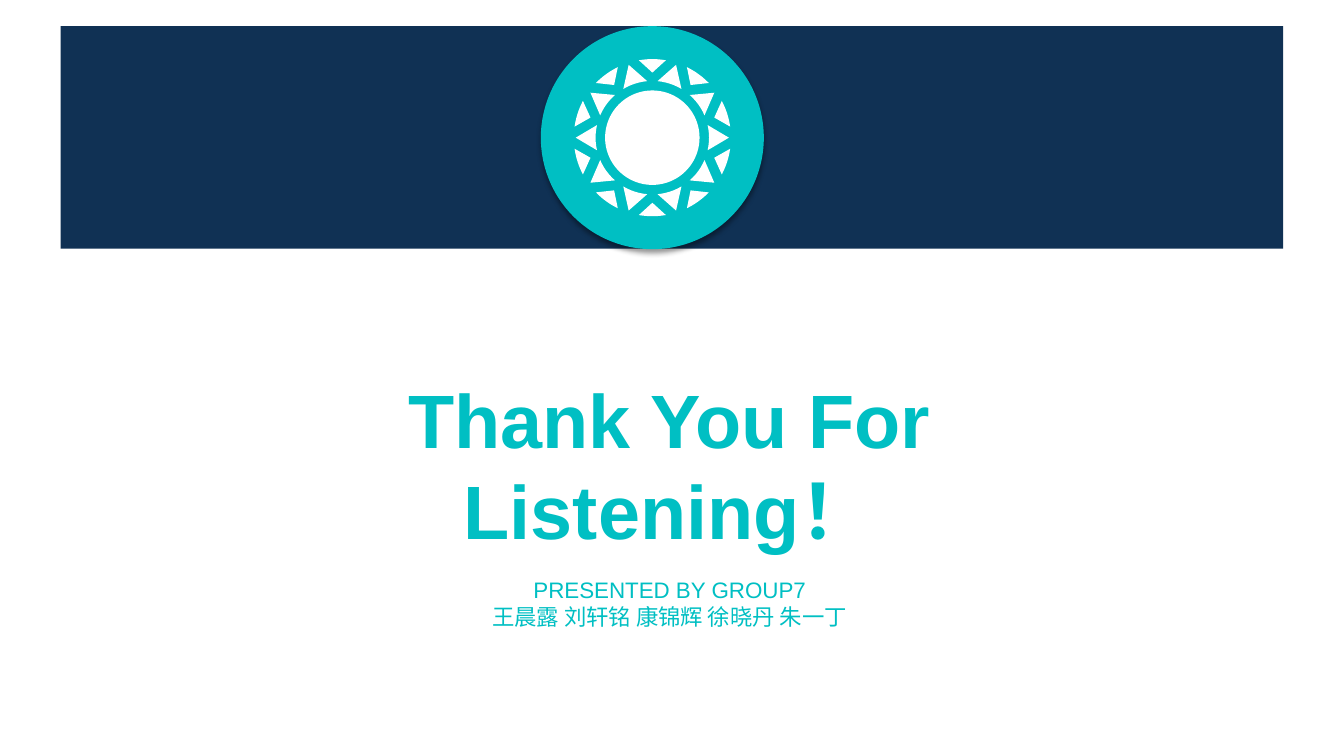
from dataclasses import dataclass
from math import cos, radians, sin

from lxml import etree
from pptx import Presentation
from pptx.dml.color import RGBColor
from pptx.enum.shapes import MSO_SHAPE
from pptx.enum.text import MSO_ANCHOR, MSO_AUTO_SIZE, PP_ALIGN
from pptx.oxml.ns import qn
from pptx.util import Cm, Pt

RECTANGLE, OVAL = MSO_SHAPE.RECTANGLE, MSO_SHAPE.OVAL
CENTER, TOP = PP_ALIGN.CENTER, MSO_ANCHOR.TOP
GROW = MSO_AUTO_SIZE.SHAPE_TO_FIT_TEXT


@dataclass(frozen=True)
class Theme:
    navy: RGBColor = RGBColor(0x10, 0x31, 0x54)
    teal: RGBColor = RGBColor(0x00, 0xBF, 0xC3)
    white: RGBColor = RGBColor(0xFF, 0xFF, 0xFF)
    font: str = "Arial"
    title_size: int = 54
    credit_size: int = 16


THEME = Theme()

# Content; all lengths in centimetres, boxes as left, top, width, height
TITLE = ["Thank You For Listening！"]
CREDITS = ["PRESENTED BY GROUP7", "王晨露 刘轩铭 康锦辉 徐晓丹 朱一丁"]

SLIDE_SIZE = (33.87, 19.05)
BANNER_BOX = (1.53, 0.66, 30.81, 5.61)
TITLE_BOX = (4.95, 9.22, 23.85, 2.64)
CREDITS_BOX = (11.94, 14.35, 9.88, 1.7)

SUN_CENTER = (16.44, 3.47)
BADGE_RADIUS = 2.81
SUN_RADIUS = 1.19
RAY_COUNT = 10
# Each ray: tip radius, arc radius, half angle of the arc in degrees
OUTWARD_RAY = (1.93, 1.43, 12.8)
INWARD_RAY = (1.64, 1.98, 9.9)
ARC_STEPS = 6


def paint(shape, color):
    shape.fill.solid()
    shape.fill.fore_color.rgb = color
    shape.line.fill.background()
    shape.shadow.inherit = False
    return shape


def add_disc(shapes, radius, color):
    x, y = SUN_CENTER
    box = (x - radius, y - radius, 2 * radius, 2 * radius)
    return paint(shapes.add_shape(OVAL, *map(Cm, box)), color)


def sun_point(radius, angle):
    x, y = SUN_CENTER
    turn = radians(angle)
    return Cm(x + radius * cos(turn)), Cm(y + radius * sin(turn))


def add_ray(shapes, angle, tip_radius, arc_radius, half_angle):
    """Draw a triangle from a tip to an arc concentric with the sun."""
    step = 2 * half_angle / ARC_STEPS
    arc = [sun_point(arc_radius, angle - half_angle + i * step)
           for i in range(ARC_STEPS + 1)]
    builder = shapes.build_freeform(*sun_point(tip_radius, angle), scale=1.0)
    builder.add_line_segments(arc, close=True)
    paint(builder.convert_to_shape(), THEME.white)


def drop_shadow(shape):
    effects = shape.element.spPr.find(qn("a:effectLst"))
    shadow = etree.SubElement(
        effects, qn("a:outerShdw"), blurRad=str(Pt(4)), dist=str(Pt(3)),
        dir=str(90 * 60000), algn="t", rotWithShape="0")
    color = etree.SubElement(shadow, qn("a:srgbClr"), val="000000")
    etree.SubElement(color, qn("a:alpha"), val="40000")


def add_text(shapes, box, lines, size, bold=False, wrap=True):
    frame = shapes.add_textbox(*map(Cm, box)).text_frame
    frame.word_wrap = wrap
    frame.auto_size = GROW
    frame.vertical_anchor = TOP
    frame.margin_left = frame.margin_right = Cm(0.33)
    frame.margin_top = frame.margin_bottom = Cm(0.18)
    for i, line in enumerate(lines):
        paragraph = frame.add_paragraph() if i else frame.paragraphs[0]
        paragraph.alignment = CENTER
        run = paragraph.add_run()
        run.text = line
        run.font.name = THEME.font
        run.font.size = Pt(size)
        run.font.bold = bold
        run.font.color.rgb = THEME.teal


def add_sun(shapes):
    pitch = 360 / RAY_COUNT
    for i in range(RAY_COUNT):
        add_ray(shapes, i * pitch, *OUTWARD_RAY)
        add_ray(shapes, (i + 0.5) * pitch, *INWARD_RAY)
    add_disc(shapes, SUN_RADIUS, THEME.white)


def main():
    deck = Presentation()
    deck.slide_width, deck.slide_height = map(Cm, SLIDE_SIZE)
    shapes = deck.slides.add_slide(deck.slide_layouts[6]).shapes

    paint(shapes.add_shape(RECTANGLE, *map(Cm, BANNER_BOX)), THEME.navy)
    drop_shadow(add_disc(shapes, BADGE_RADIUS, THEME.teal))
    add_text(shapes, TITLE_BOX, TITLE, THEME.title_size, bold=True)
    add_sun(shapes)
    add_text(shapes, CREDITS_BOX, CREDITS, THEME.credit_size, wrap=False)

    deck.save("out.pptx")


if __name__ == "__main__":
    main()
